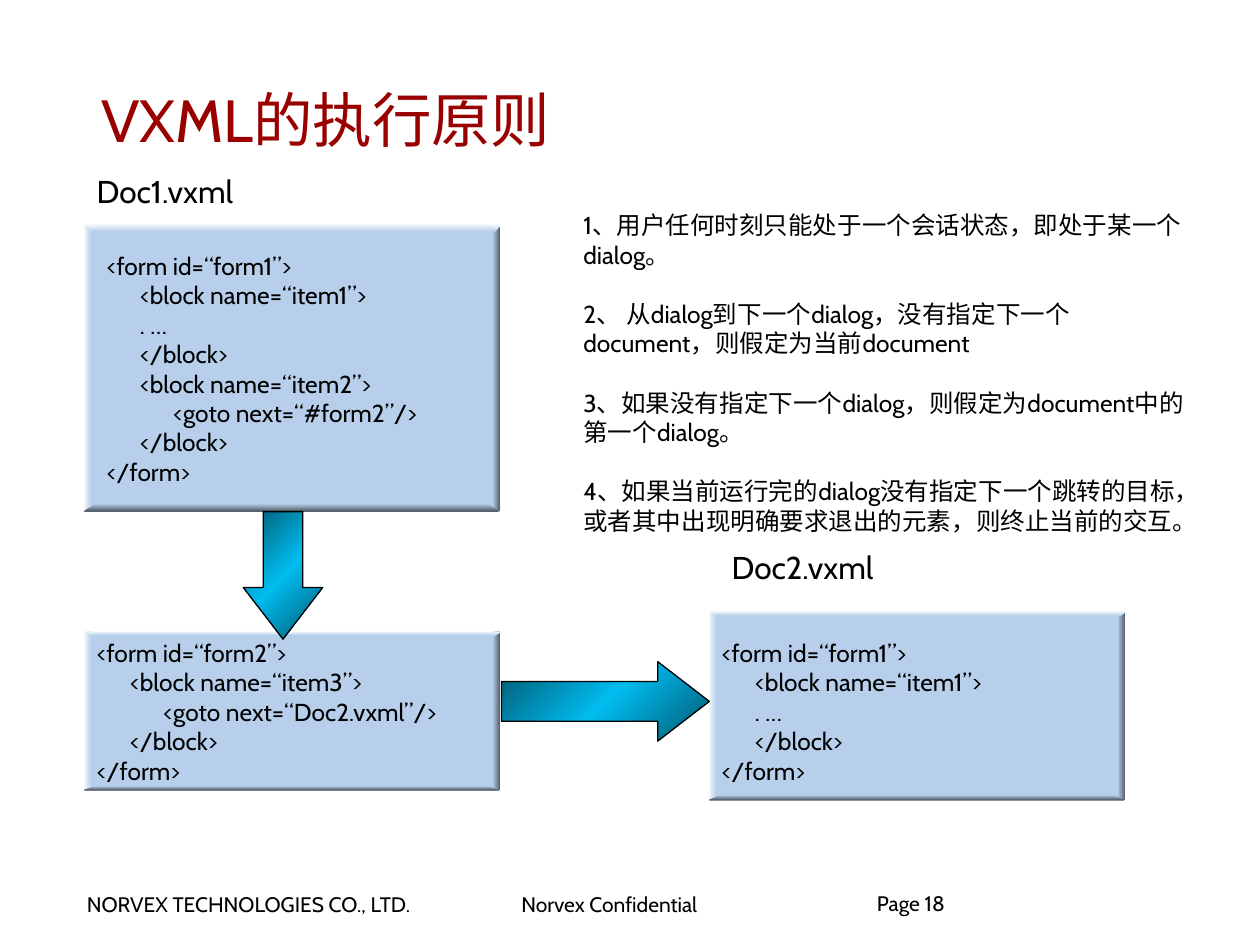
import pptx
import pptx.dml.color
import pptx.enum.shapes
import pptx.enum.text
import pptx.oxml.ns
import pptx.util
from lxml import etree

Cm = pptx.util.Cm
Pt = pptx.util.Pt

FONT = "Cabin"
BLACK = "000000"
TITLE_RED = "990000"
PANEL_BLUE = "B7CFEB"
ARROW_COLOURS = ("00576F", "00BDF0", "00576F")
INDENT = 0.67

FORM1_CODE = [
    (0, "<form id=“form1”>"),
    (1, "<block name=“item1”>"),
    (1, ". …"),
    (1, "</block>"),
    (1, "<block name=“item2”>"),
    (2, "<goto next=“#form2”/>"),
    (1, "</block>"),
    (0, "</form>"),
]
FORM2_CODE = [
    (0, "<form id=“form2”>"),
    (1, "<block name=“item3”>"),
    (2, "<goto next=“Doc2.vxml”/>"),
    (1, "</block>"),
    (0, "</form>"),
]
DOC2_CODE = FORM1_CODE[:4] + FORM1_CODE[-1:]
RULES = [
    "1、用户任何时刻只能处于一个会话状态，即处于某一个dialog。",
    "2、 从dialog到下一个dialog，没有指定下一个document，则假定为当前document",
    "3、如果没有指定下一个dialog，则假定为document中的第一个dialog。",
    "4、如果当前运行完的dialog没有指定下一个跳转的目标，或者其中出现明确要求退出的元素，则终止当前的交互。",
]


def colour(value):
    """Turn a hex string into a colour."""
    return pptx.dml.color.RGBColor.from_string(value)


def place(shape, box):
    """Move a shape to a box of left, top, width and height in centimetres."""
    shape.left, shape.top, shape.width, shape.height = (Cm(length) for length in box)


def write_text(shape, lines, size=14, hex_colour=BLACK, anchor="TOP", wrap=True,
               margins=(0.25, 0.13), gap=0, line_spacing=None):
    """Fill a shape with (level, text) lines in one format."""
    frame = shape.text_frame
    frame.word_wrap = wrap
    frame.auto_size = pptx.enum.text.MSO_AUTO_SIZE.NONE
    frame.vertical_anchor = pptx.enum.text.MSO_ANCHOR[anchor]
    frame.margin_left = frame.margin_right = Cm(margins[0])
    frame.margin_top = frame.margin_bottom = Cm(margins[1])
    for index, (level, text) in enumerate(lines):
        paragraph = frame.add_paragraph() if index else frame.paragraphs[0]
        paragraph.alignment = pptx.enum.text.PP_ALIGN.LEFT
        paragraph.space_before = Pt(gap if index else 0)
        if line_spacing:
            paragraph.line_spacing = line_spacing
        properties = paragraph._p.get_or_add_pPr()
        properties.set("marL", str(Cm(level * INDENT)))
        properties.set("indent", "0")
        etree.SubElement(properties, pptx.oxml.ns.qn("a:buNone"))
        run = paragraph.add_run()
        run.text = text
        run.font.name = FONT
        run.font.size = Pt(size)
        run.font.color.rgb = colour(hex_colour)


def add_text(slide, box, lines, **text_format):
    """Add a text box with formatted lines."""
    shape = slide.shapes.add_textbox(*(Cm(length) for length in box))
    write_text(shape, lines, **text_format)


def paint(shape, colours, angle=0):
    """Fill a shape with one colour or an even gradient, without line or shadow."""
    shape.shadow.inherit = False
    shape.line.fill.background()
    if len(colours) == 1:
        shape.fill.solid()
        shape.fill.fore_color.rgb = colour(colours[0])
        return
    shape.fill.gradient()
    gradient = shape._element.spPr.find(pptx.oxml.ns.qn("a:gradFill"))
    gradient.set("rotWithShape", "0")
    gradient.find(pptx.oxml.ns.qn("a:lin")).set("ang", str(angle * 60000))
    stops = gradient.find(pptx.oxml.ns.qn("a:gsLst"))
    for stop in list(stops):
        stops.remove(stop)
    for index, value in enumerate(colours):
        position = str(index * 100000 // (len(colours) - 1))
        stop = etree.SubElement(stops, pptx.oxml.ns.qn("a:gs"), pos=position)
        etree.SubElement(stop, pptx.oxml.ns.qn("a:srgbClr"), val=value)


def add_bevel(slide, box):
    """Group a flat face with four shaded edges into a bevelled panel."""
    left, top, width, height = box
    right, bottom = left + width, top + height
    edge, rim = 0.15, height * 0.026
    shapes = slide.shapes.add_group_shape().shapes
    rectangles = [
        ((left + 0.1, top + 0.03, width - 0.13, height - 0.03), (PANEL_BLUE,)),
        ((left, top, edge, height), ("F0F5FB", PANEL_BLUE)),
        ((right - edge - 0.03, top, edge, height), (PANEL_BLUE, "55606D")),
    ]
    for part, colours in rectangles:
        rectangle = shapes.add_shape(pptx.enum.shapes.MSO_SHAPE.RECTANGLE,
                                     *(Cm(length) for length in part))
        paint(rectangle, colours)
    trapezoids = [
        (right, top, top + rim, 0.14, ("F7FAFD", PANEL_BLUE)),
        (right - 0.05, bottom, bottom - rim, 0.23, (PANEL_BLUE, "4E5864")),
    ]
    for end, outer, inner, inset, colours in trapezoids:
        builder = shapes.build_freeform(Cm(left), Cm(outer))
        corners = [(left + inset, inner), (end - inset, inner), (end, outer)]
        builder.add_line_segments([(Cm(x), Cm(y)) for x, y in corners])
        paint(builder.convert_to_shape(), colours, 90)


def add_code_panel(slide, box, code, code_offset, caption=None, caption_offset=(0, 0)):
    """Draw a bevelled panel with its code and an optional caption above."""
    left, top, width, height = box
    add_bevel(slide, box)
    code_left, code_top = code_offset
    add_text(slide, (left + code_left, top + code_top, width - code_left, height - code_top), code)
    if caption:
        x, y = caption_offset
        add_text(slide, (left + x, top + y, width, 1.02), [(0, caption)], size=18)


def add_arrow(slide, box, rotation=0):
    """Draw a shiny block arrow."""
    arrow = slide.shapes.add_shape(pptx.enum.shapes.MSO_SHAPE.RIGHT_ARROW,
                                   *(Cm(length) for length in box))
    arrow.adjustments[0], arrow.adjustments[1] = 0.5, 0.65
    arrow.rotation = rotation
    paint(arrow, ARROW_COLOURS, 45)
    arrow.line.color.rgb = colour(BLACK)
    arrow.line.width = Pt(0.75)


def add_footer(slide, box):
    """Write the company, confidentiality and page texts along a strip."""
    left, top, width, height = box
    for offset, text in ((0, "NORVEX TECHNOLOGIES CO., LTD."), (8.76, "Norvex Confidential")):
        add_text(slide, (left + offset, top, 7.85, height), [(0, text)],
                 size=12, wrap=False, margins=(0.23, 0.1))
    add_text(slide, (left + 16.16, top + 0.15, width - 16.16, height), [(0, "Page 18")],
             size=12, margins=(0, 0), line_spacing=0.85)


def main():
    """Build the slide and save it."""
    presentation = pptx.Presentation()
    presentation.slide_width, presentation.slide_height = Cm(25.4), Cm(19.05)
    slide = presentation.slides.add_slide(presentation.slide_layouts[1])
    title, rules = slide.placeholders
    place(title, (1.8, 1.19, 21.51, 2.41))
    write_text(title, [(0, "VXML的执行原则")], size=34, hex_colour=TITLE_RED, anchor="MIDDLE")
    place(rules, (11.51, 4.11, 12.8, 7.98))
    write_text(rules, [(0, rule) for rule in RULES], gap=17)

    add_code_panel(slide, (1.7, 4.52, 8.41, 5.79), FORM1_CODE, (0.2, 0.41),
                   "Doc1.vxml", (0, -1.19))
    add_code_panel(slide, (1.7, 12.73, 8.41, 3.2), FORM2_CODE, (0, 0))
    add_code_panel(slide, (14.3, 12.32, 8.41, 3.81), DOC2_CODE, (0, 0.41),
                   "Doc2.vxml", (0.2, -1.4))
    add_arrow(slide, (4.42, 10.8, 2.57, 1.6), rotation=90)
    add_arrow(slide, (10.11, 13.34, 4.19, 1.6))
    add_footer(slide, (1.52, 17.88, 22, 0.74))
    presentation.save("out.pptx")


if __name__ == "__main__":
    main()
